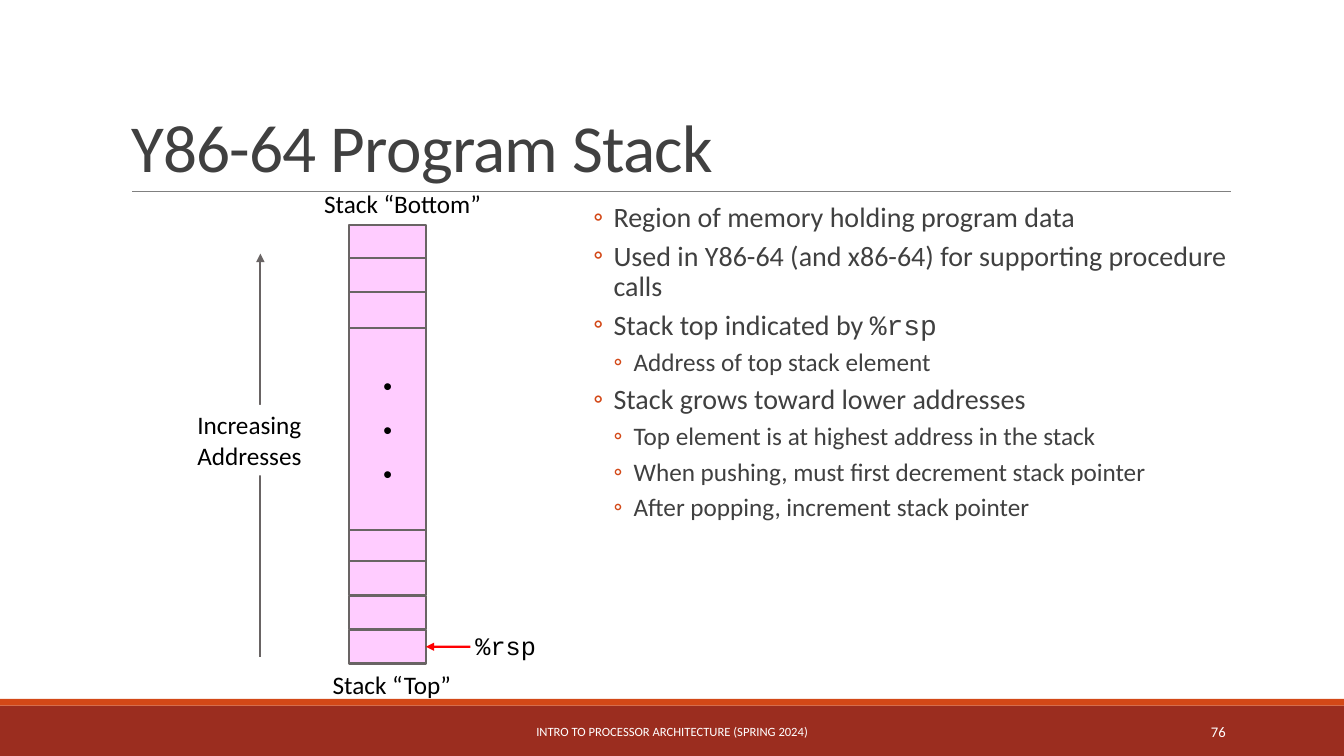
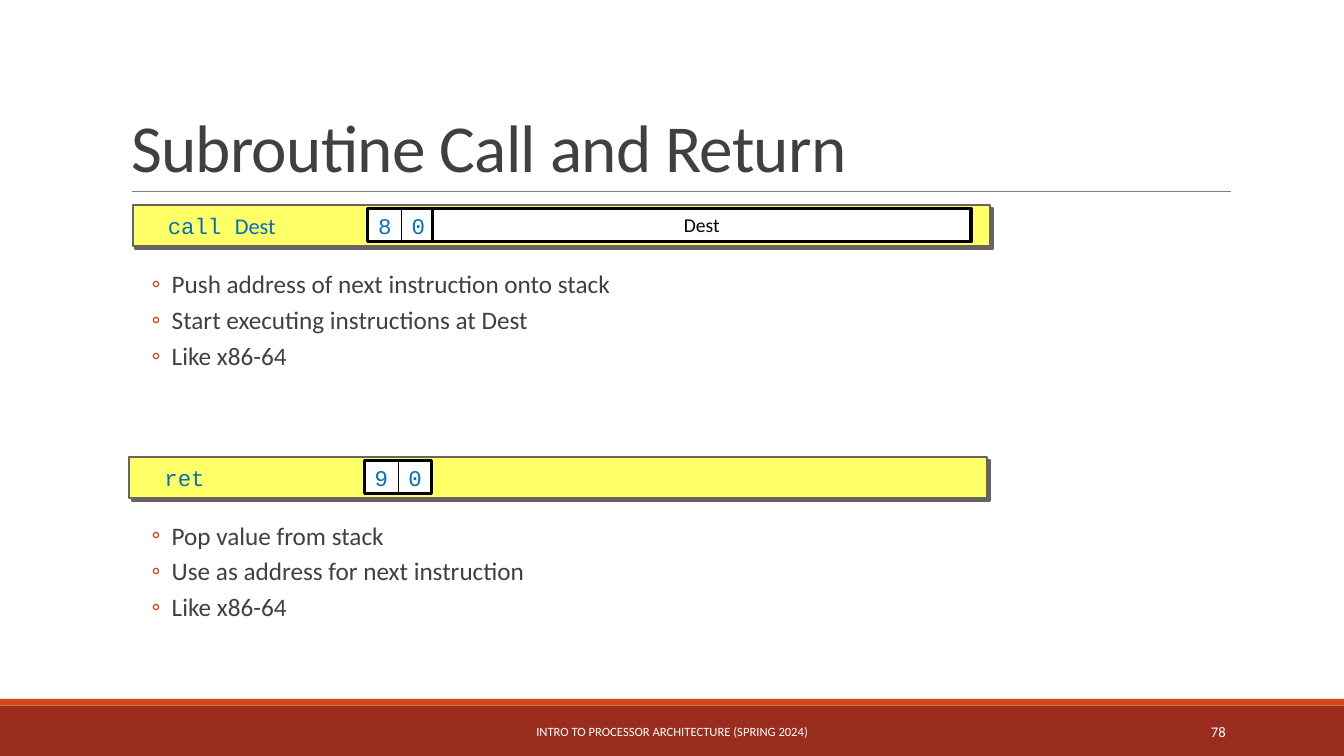
from lxml.etree import SubElement
from pptx import Presentation
from pptx.dml.color import RGBColor
from pptx.enum.shapes import MSO_CONNECTOR as LINE, MSO_SHAPE as SHAPE
from pptx.enum.text import MSO_ANCHOR as ANCHOR, MSO_AUTO_SIZE as FIT, PP_ALIGN as ALIGN
from pptx.oxml.ns import qn
from pptx.util import Inches, Pt

COLORS = {
    "band": "9B2D1F", "accent": "D34817", "rule": "808080", "body": "404040",
    "black": "000000", "white": "FFFFFF", "gray": "696464", "pink": "FFCCFF",
    "yellow": "FFFF66", "blue": "0070C0", "red": "FF0002",
}
SANS, MONO = "Calibri", "Courier New"
COLUMNS, ROWS = 160, 90
CELL = Inches(1 / 12)


def write(para, spans, size, color):
    fonts = {font for _, font in spans}
    para.font.size = Pt(size)
    para.font.color.rgb = RGBColor.from_string(COLORS[color])
    if len(fonts) == 1:
        para.font.name = spans[0][1]
    for text, font in spans:
        span = para.add_run()
        span.text = text
        if len(fonts) > 1:
            span.font.name = font


def put(parent, area, fill=None, edge=None, weight=1.5, lines=(), size=18, color="black",
        align=ALIGN.LEFT, anchor=ANCHOR.TOP, inset=0.6, before=0):
    area = [int(CELL * units) for units in area]
    if fill or edge:
        box = parent.shapes.add_shape(SHAPE.RECTANGLE, *area)
        box.shadow.inherit = False
        if fill:
            box.fill.solid()
            box.fill.fore_color.rgb = RGBColor.from_string(COLORS[fill])
        else:
            box.fill.background()
        if edge:
            box.line.color.rgb = RGBColor.from_string(COLORS[edge])
            box.line.width = Pt(weight)
        else:
            box.line.fill.background()
    else:
        box = parent.shapes.add_textbox(*area)
    frame = box.text_frame
    frame.word_wrap = True
    frame.vertical_anchor = anchor
    frame.margin_left = frame.margin_right = int(CELL * inset)
    frame.margin_top = frame.margin_bottom = int(CELL * 0.6)
    for index, spans in enumerate(lines):
        para = frame.add_paragraph() if index else frame.paragraphs[0]
        para.alignment = align
        para.space_before = Pt(before)
        write(para, spans, size, color)
    return box


deck = Presentation()
deck.slide_width, deck.slide_height = CELL * COLUMNS, CELL * ROWS

PAGES = [
    ("Y86-64 Program Stack", "76", (68, 23.6, 78.4, 59), [20, 18], [
        (1, [("Region of memory holding program data", SANS)], 2),
        (1, [("Used in Y86-64 (and x86-64) for supporting procedure calls", SANS)], 2),
        (1, [("Stack top indicated by ", SANS), ("%rsp", MONO)], 2),
        (2, [("Address of top stack element", SANS)], 2),
        (1, [("Stack grows toward lower addresses", SANS)], 2),
        (2, [("Top element is at highest address in the stack", SANS)], 2),
        (2, [("When pushing, must first decrement stack pointer", SANS)], 2),
        (2, [("After popping, increment stack pointer", SANS)], 2),
    ]),
    ("Subroutine Call and Return", "78", (15.4, 31.8, 131, 50.3), [18], [
        (1, [("Push address of next instruction onto stack", SANS)], 2),
        (1, [("Start executing instructions at Dest", SANS)], 2),
        (1, [("Like x86-64", SANS)], 2),
        (1, [("Pop value from stack", SANS)], 105),
        (1, [("Use as address for next instruction", SANS)], 2),
        (1, [("Like x86-64", SANS)], 2),
    ]),
]

connectors = []
for heading, number, body_area, sizes, items in PAGES:
    page = deck.slides.add_slide(deck.slide_layouts[1])
    title, body = page.placeholders
    for holder, area in ((title, (14.4, 3.75, 132, 19)), (body, body_area)):
        holder.left, holder.top, holder.width, holder.height = [int(CELL * units) for units in area]
        holder.text_frame.auto_size = FIT.NONE
        holder.text_frame.word_wrap = True

    title.text_frame.vertical_anchor = ANCHOR.BOTTOM
    para = title.text_frame.paragraphs[0]
    para.alignment = ALIGN.LEFT
    para.line_spacing = 0.85
    write(para, [(heading, SANS)], 48, "body")
    para.runs[0].font._element.set("spc", "-50")

    frame = body.text_frame
    frame.margin_left = frame.margin_right = 0
    for index, (level, spans, before) in enumerate(items):
        para = frame.add_paragraph() if index else frame.paragraphs[0]
        para.level = level
        para.line_spacing = 0.9
        para.space_before, para.space_after = Pt(before), Pt(4)
        props = para._p.get_or_add_pPr()
        props.set("marL", str(Inches(0.22 + 0.2 * level)))
        props.set("indent", str(Inches(-0.2)))
        tint = SubElement(props, qn("a:buClr"))
        SubElement(tint, qn("a:srgbClr"), val=COLORS["accent"])
        SubElement(props, qn("a:buFont"), typeface=SANS)
        SubElement(props, qn("a:buChar"), char="◦")
        write(para, spans, sizes[level - 1], "body")

    put(page, (0, 84, COLUMNS, 6), "band")
    put(page, (0, 83.2, COLUMNS, 0.8), "accent")
    rule = page.shapes.add_connector(
        LINE.STRAIGHT, *[int(CELL * units) for units in (15.75, 22.8, 146.5, 22.8)])
    connectors.append((rule, "rule", 0.5, False))
    put(page, (48.4, 84.7, 63.2, 4.8), lines=[[("INTRO TO PROCESSOR ARCHITECTURE (SPRING 2024)", SANS)]],
        size=9, color="white", align=ALIGN.CENTER, anchor=ANCHOR.MIDDLE, inset=1.2)
    put(page, (130, 84.7, 17.1, 4.8), lines=[[(number, SANS)]],
        size=10.5, color="white", align=ALIGN.RIGHT, anchor=ANCHOR.MIDDLE, inset=1.2)

stack_page, call_page = deck.slides

STACK_LEFT, STACK_WIDTH = 41.6, 9.1
for first, pitch, count, height in ((26.75, 4, 3, 5), (62.75, 4.08, 4, 4)):
    for row in range(count):
        top_cell = put(stack_page, (STACK_LEFT, first + pitch * row, STACK_WIDTH, height), "pink", "gray")
put(stack_page, (STACK_LEFT, 39.1, STACK_WIDTH, 24), "pink", "gray", lines=[[("•", MONO)]] * 3,
    align=ALIGN.CENTER, anchor=ANCHOR.MIDDLE, before=10)

pointer_label = put(stack_page, (56, 74.5, 8.5, 5), lines=[[("%rsp", MONO)]])
pointer = stack_page.shapes.add_connector(LINE.STRAIGHT, 0, 0, 0, 0)
pointer.begin_connect(pointer_label, 1)
pointer.end_connect(top_cell, 3)
connectors.append((pointer, "red", 1.5, True))

growth = stack_page.shapes.add_connector(
    LINE.STRAIGHT, *[int(CELL * units) for units in (31, 78.2, 31, 30.2)])
connectors.append((growth, "gray", 1.5, True))
put(stack_page, (22.9, 48.2, 18, 8.4), "white", lines=[[("Increasing", SANS)], [("Addresses", SANS)]])
for text, left, top in (("Stack “Top”", 39, 79.1), ("Stack “Bottom”", 38, 21.8)):
    put(stack_page, (left, top, 23, 4.9), lines=[[(text, SANS)]])

INSTRUCTIONS = [
    (15.8, 24.4, [("call ", MONO), ("Dest", SANS)], "80", "Dest"),
    (15.4, 54.4, [("ret", MONO)], "90", None),
]
for left, top, name, code, operand in INSTRUCTIONS:
    banner = put(call_page, (left, top, 102.1, 4.9), "yellow", "gray")
    effects = banner._element.spPr.find(qn("a:effectLst"))
    shadow = SubElement(effects, qn("a:outerShdw"), dist=str(Pt(2.8)), dir="2700000",
                        algn="ctr", rotWithShape="0")
    SubElement(shadow, qn("a:srgbClr"), val=COLORS["gray"])
    top += 0.4
    put(call_page, (left + 3, top, 25, 4), lines=[name], size=16, color="blue",
        anchor=ANCHOR.MIDDLE, inset=1.2)
    group = call_page.shapes.add_group_shape()
    for column, digit in enumerate(code):
        put(group, (left + 28 + 4 * column, top, 4, 4), "white", "black", 0.5, [[(digit, MONO)]],
            16, "blue", ALIGN.CENTER, ANCHOR.MIDDLE)
    put(group, (left + 28, top, 8, 4), edge="black", weight=2.25)
    if operand:
        put(call_page, (left + 35.7, top, 64.1, 4), "white", "black", 2.25, [[(operand, SANS)]],
            14, "black", ALIGN.CENTER, ANCHOR.MIDDLE)

for connector, color, weight, arrow in connectors:
    connector.line.color.rgb = RGBColor.from_string(COLORS[color])
    connector.line.width = Pt(weight)
    props = connector._element.spPr
    if arrow:
        SubElement(props.find(qn("a:ln")), qn("a:tailEnd"), type="triangle")
    SubElement(props, qn("a:effectLst"))

deck.save("out.pptx")
